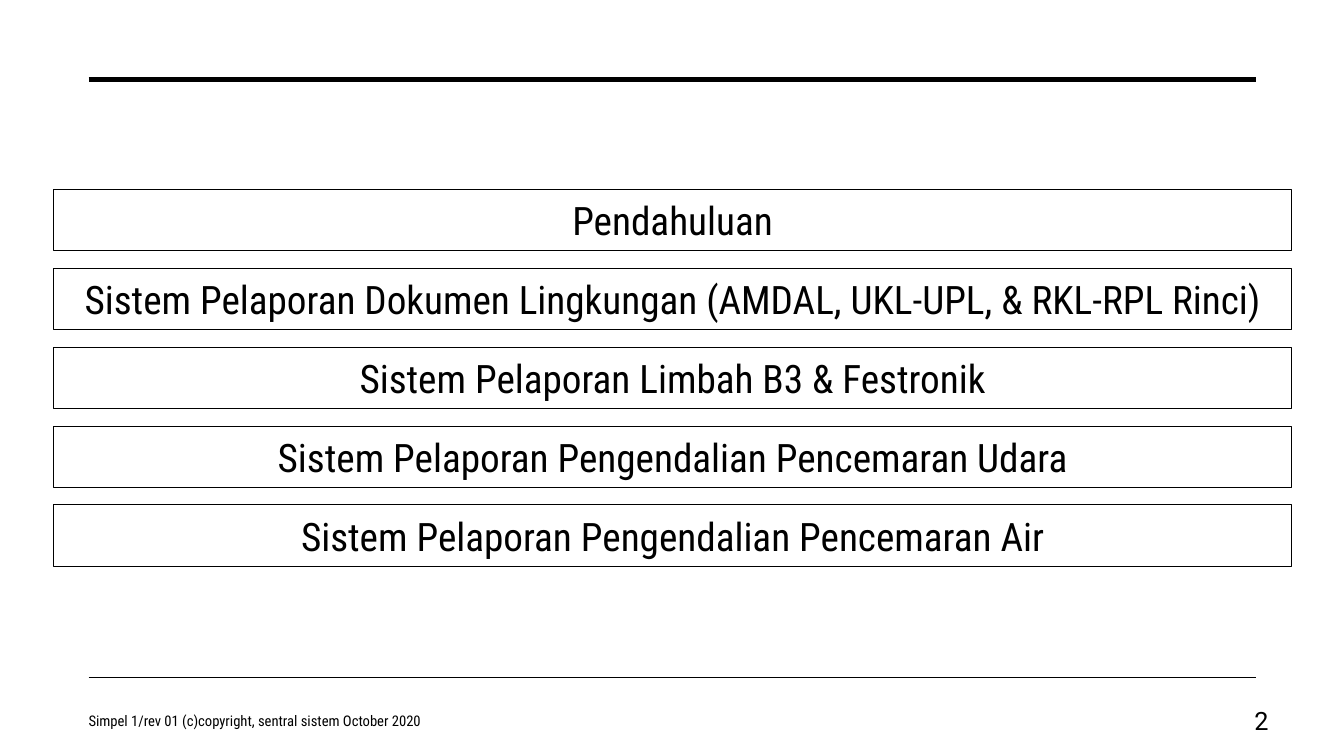
from dataclasses import dataclass

from lxml.etree import SubElement
from pptx import Presentation
from pptx.dml.color import RGBColor
from pptx.enum.shapes import MSO_CONNECTOR as Connector, MSO_SHAPE as Shape
from pptx.enum.text import MSO_ANCHOR as Anchor, PP_ALIGN as Align
from pptx.oxml.ns import qn
from pptx.util import Inches, Pt


@dataclass(frozen=True)
class Theme:
    """Colours, fonts, type sizes and line widths."""
    ink: RGBColor = RGBColor(0, 0, 0)
    paper: RGBColor = RGBColor(255, 255, 255)
    font: str = "Roboto Condensed"
    number_font: str = "Roboto"
    topic_size: float = 28
    footer_size: float = 10.5
    number_size: float = 18
    box_line: float = 0.75
    top_rule: float = 3.5
    bottom_rule: float = 1


@dataclass(frozen=True)
class Box:
    """A region in inches."""
    left: float
    top: float
    width: float
    height: float

    def lengths(self):
        """Return the four lengths for python-pptx."""
        return [Inches(v) for v in (self.left, self.top, self.width, self.height)]


THEME = Theme()
SLIDE = Box(0, 0, 13.33, 7.5)
TOPICS = [
    "Pendahuluan",
    "Sistem Pelaporan Dokumen Lingkungan (AMDAL, UKL-UPL, & RKL-RPL Rinci)",
    "Sistem Pelaporan Limbah B3 & Festronik",
    "Sistem Pelaporan Pengendalian Pencemaran Udara",
    "Sistem Pelaporan Pengendalian Pencemaran Air",
]


def write_text(shape, text, size, font=THEME.font, align=Align.LEFT):
    """Write one formatted line, centred vertically in the shape."""
    frame = shape.text_frame
    frame.word_wrap = True
    frame.vertical_anchor = Anchor.MIDDLE
    paragraph = frame.paragraphs[0]
    paragraph.alignment = align
    run = paragraph.add_run()
    run.text = text
    run.font.name = font
    run.font.size = Pt(size)
    run.font.color.rgb = THEME.ink


def add_rule(slide, box, width):
    """Draw a horizontal rule along the top of the box."""
    left, top, length, _ = box.lengths()
    rule = slide.shapes.add_connector(Connector.STRAIGHT, left, top, left + length, top)
    rule.line.color.rgb = THEME.ink
    rule.line.width = Pt(width)
    SubElement(rule._element.spPr, qn("a:effectLst"))


def add_topics(slide, box, topics, fill_share=0.78):
    """Stack the topics in equal rows, each filling a share of its row."""
    group = slide.shapes.add_group_shape()
    height = box.height / (len(topics) - 1 + fill_share)
    for row, topic in enumerate(topics):
        cell = Box(box.left, box.top + row * height, box.width, height * fill_share)
        shape = group.shapes.add_shape(Shape.RECTANGLE, *cell.lengths())
        shape.shadow.inherit = False
        shape.fill.solid()
        shape.fill.fore_color.rgb = THEME.paper
        shape.line.color.rgb = THEME.ink
        shape.line.width = Pt(THEME.box_line)
        write_text(shape, topic, THEME.topic_size, align=Align.CENTER)


def add_footer(slide, box, note, number):
    """Place the note at the left and the page number at the right."""
    note_box = Box(box.left, box.top, box.width * 0.417, box.height)
    number_width = box.width * 0.062
    number_box = Box(box.left + box.width - number_width, box.top, number_width, box.height)
    write_text(slide.shapes.add_textbox(*note_box.lengths()), note, THEME.footer_size)
    write_text(slide.shapes.add_textbox(*number_box.lengths()), number,
               THEME.number_size, font=THEME.number_font, align=Align.RIGHT)


def main():
    """Build and save the agenda slide."""
    presentation = Presentation()
    presentation.slide_width = Inches(SLIDE.width)
    presentation.slide_height = Inches(SLIDE.height)
    slide = presentation.slides.add_slide(presentation.slide_layouts[6])
    add_rule(slide, Box(0.88, 0.79, 11.58, 0), THEME.top_rule)
    add_rule(slide, Box(0.88, 6.72, 11.58, 0), THEME.bottom_rule)
    add_topics(slide, Box(0.53, 1.88, 12.28, 3.74), TOPICS)
    add_footer(slide, Box(0.78, 6.95, 11.9, 0.4),
               "Simpel 1/rev 01 (c)copyright, sentral sistem October 2020", "2")
    presentation.save("out.pptx")


if __name__ == "__main__":
    main()
